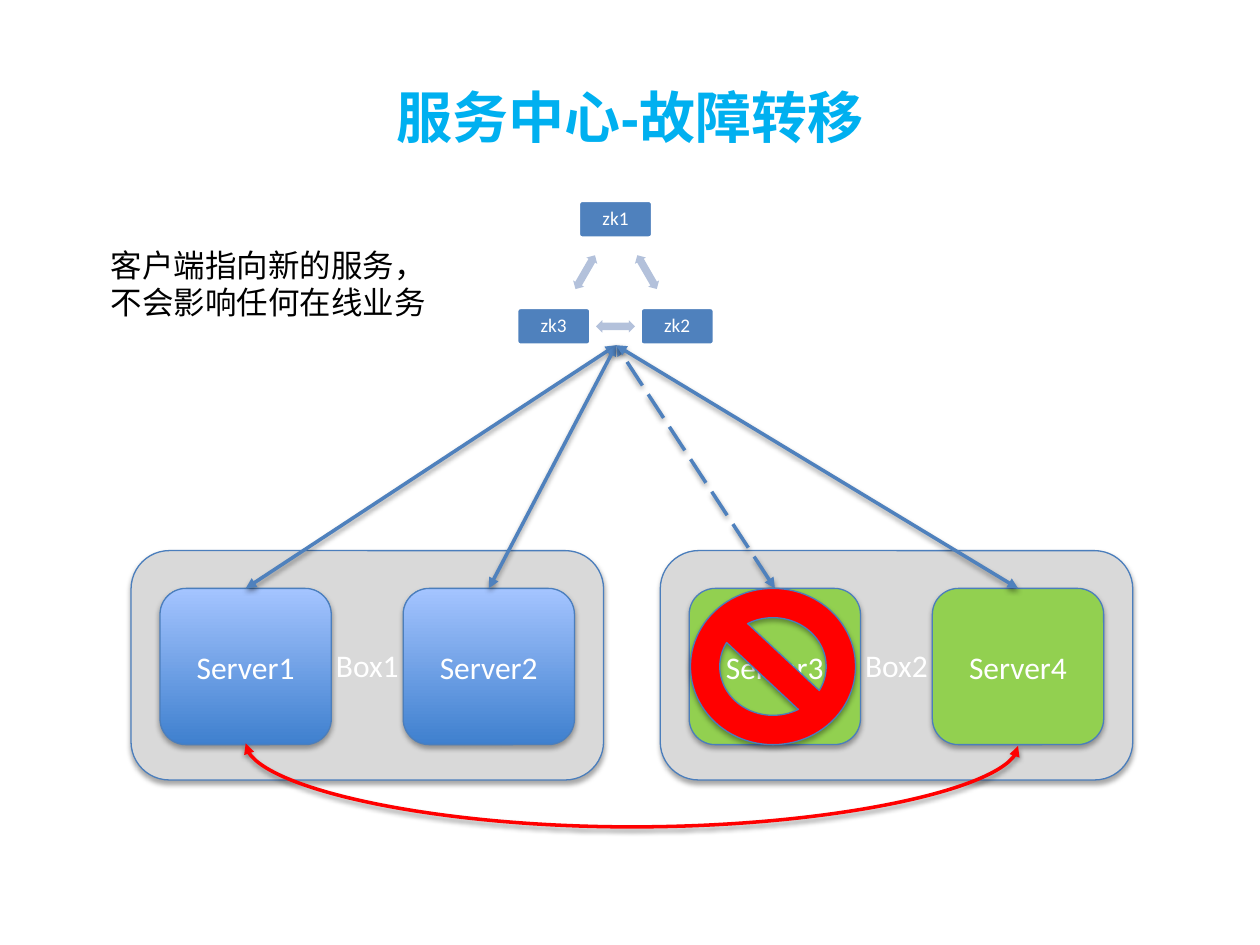
from lxml.etree import SubElement
from pptx import Presentation
from pptx.dml.color import RGBColor
from pptx.enum.dml import MSO_LINE
from pptx.enum.shapes import MSO_CONNECTOR, MSO_SHAPE
from pptx.enum.text import MSO_ANCHOR, MSO_AUTO_SIZE, PP_ALIGN
from pptx.oxml.ns import qn
from pptx.util import Inches, Pt

TITLE = "服务中心-故障转移"
NOTE = ["客户端指向新的服务，", "不会影响任何在线业务"]
NODES = [("zk1", 4.59, 1.59), ("zk2", 5.08, 2.44), ("zk3", 4.1, 2.44)]
SYNCS = [(4.98, 2.11, 60), (4.73, 2.54, 180), (4.49, 2.11, 300)]
HOSTS = [
    ("Box1", 1.04, "blues", ["Server1", "Server2"]),
    ("Box2", 5.24, "green", ["Server3", "Server4"]),
]
DOWN = "Server3"
MOVE = ("Server1", "Server4")
HUB = (4.89, 2.74)
TOP, WIDE, HIGH = 4.67, 1.36, 1.24
INSET, STEP = 0.23, 1.93

THEME = {
    "title": "00B0F0", "node": "4F81BD", "sync": "B3C1DB", "host": "D9D9D9",
    "edge": "4B7EBC", "green": "92D050", "blues": ("3F80CE", "A4C4FF"),
    "alert": "FF0000", "white": "FFFFFF", "black": "000000",
    "head": 32, "body": 18, "small": 11, "thin": 0.75, "thick": 2,
    "font": "Calibri", "bold": "Arial",
}


def tint(key):
    return RGBColor.from_string(THEME[key])


def write(frame, text, size="body", color="white", font="font", bold=False,
          align=PP_ALIGN.CENTER, anchor=MSO_ANCHOR.MIDDLE, wrap=True,
          pad=None, space=None):
    frame.word_wrap = wrap
    frame.vertical_anchor = anchor
    if pad is not None:
        frame.margin_left = frame.margin_right = Inches(pad)
        frame.margin_top = frame.margin_bottom = Inches(pad)
    lines = [text] if isinstance(text, str) else text
    for i, line in enumerate(lines):
        para = frame.paragraphs[0] if i == 0 else frame.add_paragraph()
        para.alignment = align
        if space:
            para.line_spacing = space
        run = para.add_run()
        run.text = line
        run.font.name = THEME[font]
        run.font.size = Pt(THEME[size])
        run.font.bold = bold
        run.font.color.rgb = tint(color)


def shade(effect, alpha, gap):
    cast = SubElement(effect, qn("a:outerShdw"), blurRad=str(Pt(3.1)),
                      dist=str(Pt(gap)), dir="5400000", rotWithShape="0")
    hue = SubElement(cast, qn("a:srgbClr"), val=THEME["black"])
    SubElement(hue, qn("a:alpha"), val=str(alpha * 1000))


def block(kind, box, fill, edge=None, width="thin", drop=False):
    shape = slide.shapes.add_shape(kind, *map(Inches, box))
    shape.shadow.inherit = False
    if isinstance(THEME[fill], tuple):
        shape.fill.gradient()
        shape.fill.gradient_angle = 90
        for stop, hue in zip(shape.fill.gradient_stops, THEME[fill]):
            stop.color.rgb = RGBColor.from_string(hue)
    else:
        shape.fill.solid()
        shape.fill.fore_color.rgb = tint(fill)
    if edge:
        shape.line.color.rgb = tint(edge)
        shape.line.width = Pt(THEME[width])
    else:
        shape.line.fill.background()
    if drop:
        shade(shape._element.spPr.find(qn("a:effectLst")), 35, 1.8)
    return shape


def link(start, end, color="node", dash=False, kind=MSO_CONNECTOR.STRAIGHT):
    wire = slide.shapes.add_connector(kind, *map(Inches, start + end))
    wire.line.color.rgb = tint(color)
    wire.line.width = Pt(THEME["thick"])
    if dash:
        wire.line.dash_style = MSO_LINE.LONG_DASH
    props = wire._element.spPr
    for tip in ("a:headEnd", "a:tailEnd"):
        SubElement(props.find(qn("a:ln")), qn(tip), type="triangle")
    shade(SubElement(props, qn("a:effectLst")), 38, 1.6)
    return wire


def swoop(start, end, depth):
    wire = link(start, end, "alert", kind=MSO_CONNECTOR.CURVE)
    (x1, y1), (x2, y2) = start, end
    rise, span = y2 - y1, x2 - x1
    wire.left = Inches((x1 + x2 - rise) / 2)
    wire.top = Inches((y1 + y2 - span) / 2)
    wire.width, wire.height = Inches(rise), Inches(span)
    props = wire._element.spPr
    frame = props.find(qn("a:xfrm"))
    frame.set("rot", "16200000")
    frame.set("flipH", "1")
    guides = props.find(qn("a:prstGeom")).find(qn("a:avLst"))
    bend = round(depth / rise * 100000)
    SubElement(guides, qn("a:gd"), name="adj1", fmla=f"val {bend}")


deck = Presentation()
deck.slide_width, deck.slide_height = Inches(10), Inches(7.5)
slide = deck.slides.add_slide(deck.slide_layouts[6])

head = slide.shapes.add_textbox(*map(Inches, (0.5, 0.3, 9, 1.25)))
write(head.text_frame, TITLE, size="head", color="title", font="bold", bold=True)

for name, x, y in NODES:
    node = block(MSO_SHAPE.ROUNDED_RECTANGLE, (x, y, 0.59, 0.3),
                 "node", "white", "thick")
    node.adjustments[0] = 0.1
    write(node.text_frame, name, size="small", pad=0.05, space=0.9)
for x, y, turn in SYNCS:
    sync = block(MSO_SHAPE.LEFT_RIGHT_ARROW, (x, y, 0.31, 0.1), "sync")
    sync.adjustments[0], sync.adjustments[1] = 0.6, 0.5
    sync.rotation = turn

mids = {}
for host, left, fill, names in HOSTS:
    case = block(MSO_SHAPE.ROUNDED_RECTANGLE, (left, 4.37, 3.75, 1.82),
                 "host", "edge", drop=True)
    write(case.text_frame, host)
    for i, name in enumerate(names):
        x = left + INSET + i * STEP
        unit = block(MSO_SHAPE.ROUNDED_RECTANGLE, (x, TOP, WIDE, HIGH),
                     fill, "edge", drop=True)
        write(unit.text_frame, name)
        mids[name] = x + WIDE / 2

for name, x in mids.items():
    link((x, TOP), HUB, dash=name == DOWN)

block(MSO_SHAPE.NO_SYMBOL, (mids[DOWN] - 0.67, TOP, 1.31, HIGH),
      "alert", "edge", drop=True)
swoop((mids[MOVE[0]], 5.9), (mids[MOVE[1]], 5.92), 0.66)

note = slide.shapes.add_textbox(*map(Inches, (0.78, 1.9, 2.73, 0.71)))
write(note.text_frame, NOTE, color="black", align=PP_ALIGN.LEFT,
      anchor=MSO_ANCHOR.TOP, wrap=False)
note.text_frame.auto_size = MSO_AUTO_SIZE.SHAPE_TO_FIT_TEXT

deck.save("out.pptx")
